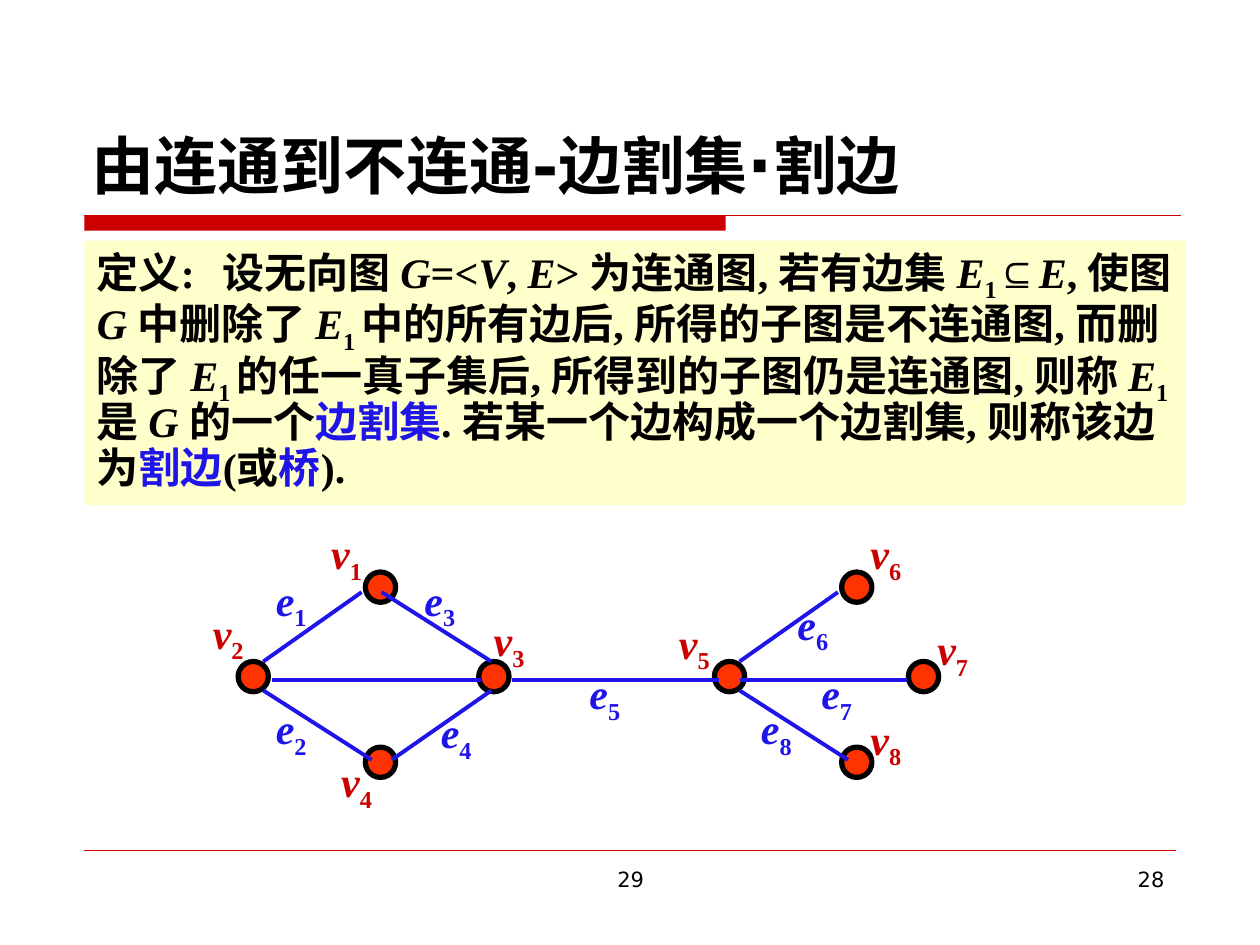
import pptx
import pptx.dml.color
import pptx.enum.shapes
import pptx.enum.text
import pptx.oxml.ns
import pptx.util
from lxml import etree

COLUMNS, ROWS = 100, 75  # square grid cells over the slide
CELL = pptx.util.Inches(0.1)
BLACK, RED, BLUE = "000000", "CC0000", "1F15E9"
NODE_RED, CREAM = "FF3300", "FFFFCC"
SERIF, SANS, SYMBOL = "Times New Roman", "DejaVu Sans", "Arial"
NODE_SIZE = 2.4
LABEL_SIZE = (5.8, 5.6)

SHAPES = pptx.enum.shapes.MSO_SHAPE
ALIGN = pptx.enum.text.PP_ALIGN
ANCHOR = pptx.enum.text.MSO_ANCHOR

# Flags: i italic, _ subscript, b blue, d sans font, a symbol font
E1 = [("E", "i"), ("1 ", "_")]
DEFINITION = [
    ("定义:\t设无向图 ", ""), ("G", "i"), ("=<", ""), ("V", "i"), (", ", ""),
    ("E", "i"), ("> 为连通图, 若有边集 ", ""), ("E", "i"), ("1", "_"),
    ("⊆", "a"), ("E", "i"), (", 使图", ""), ("G ", "i"), ("中", "d"),
    ("删除了 ", ""), *E1, ("中", "d"),
    ("的所有边后, 所得的子图是不连通图, 而删除了 ", ""), *E1,
    ("的任一真子集后, 所得到的子图仍是连通图, 则称 ", ""), *E1,
    ("是 ", ""), ("G ", "i"), ("的一个", ""), ("边割集", "b"),
    (". 若某一个边构成一个边割集, 则称该边为", ""), ("割边", "b"),
    ("(或", ""), ("桥", "bd"), (").", ""),
]

# Centres of the vertices
NODES = [(30.2, 46.6), (30.2, 60.5), (39.2, 53.7), (20.1, 53.7),
         (68, 46.6), (68, 60.5), (73.3, 53.7), (57.9, 53.7)]
EDGES = [
    ((28.7, 47), (20.9, 52.5)), ((39, 54.8), (31.1, 60.3)),
    ((66.5, 47), (58.7, 52.5)), ((72, 54), (58.7, 54)),
    ((67.3, 60.3), (58.7, 54.8)), ((57.1, 54), (40.6, 54)),
    ((39, 52.5), (30.3, 47)), ((29.5, 60.3), (20.9, 54.8)),
    ((38.2, 54), (21.6, 54)),
]
# Top left corners of the labels, in order of their index
VERTEX_LABELS = [(25.3, 41.4), (15.9, 47.7), (38.2, 48.3), (26.1, 59.5),
                 (52.9, 48.5), (68.1, 41.4), (73.4, 49), (68.1, 56.1)]
EDGE_LABELS = [(20.9, 45.1), (20.9, 55.3), (32.7, 45.1), (34, 55.6),
               (45.8, 52.5), (62.3, 47), (64.2, 52.5), (59.4, 55.3)]


def color(value):
    return pptx.dml.color.RGBColor.from_string(value)


def cells(*values):
    return [round(v * CELL) for v in values]


def style_font(font, name, size, value=BLACK, bold=False):
    font.name = name
    font.size = pptx.util.Pt(size)
    font.bold = bold
    font.color.rgb = color(value)


def add_shape(s, kind, box, fill, line=None, width=0):
    sp = s.shapes.add_shape(kind, *cells(*box))
    sp.shadow.inherit = False
    sp.fill.solid()
    sp.fill.fore_color.rgb = color(fill)
    if line:
        sp.line.color.rgb = color(line)
        sp.line.width = pptx.util.Pt(width)
    else:
        sp.line.fill.background()
    return sp


def add_line(s, start, end, value, width):
    line = s.shapes.add_connector(
        pptx.enum.shapes.MSO_CONNECTOR.STRAIGHT, *cells(*start, *end))
    line.line.color.rgb = color(value)
    line.line.width = pptx.util.Pt(width)
    etree.SubElement(line._element.spPr, pptx.oxml.ns.qn("a:effectLst"))


def add_runs(p, runs, name, size, value=BLACK, bold=False):
    """Fill a paragraph from (text, flags) pairs."""
    style_font(p.font, name, size, value, bold)
    for text, flags in runs:
        r = p.add_run()
        r.text = text
        face = SANS if "d" in flags else SYMBOL if "a" in flags else name
        style_font(r.font, face, size, BLUE if "b" in flags else value, bold)
        r.font.italic = "i" in flags
        if "_" in flags:
            r.font._element.set("baseline", "-25000")


def add_text(s, box, runs, name, size, value=BLACK, bold=False,
             align=ALIGN.LEFT, anchor=ANCHOR.TOP):
    tf = s.shapes.add_textbox(*cells(*box)).text_frame
    tf.word_wrap = True
    tf.vertical_anchor = anchor
    p = tf.paragraphs[0]
    p.alignment = align
    add_runs(p, runs, name, size, value, bold)
    return p


def add_title(s):
    p = add_text(s, (6.3, 3.3, 87.5, 13.3),
                 [("由连通到不连通-边割集", ""), ("·", ""), ("割边", "")],
                 SANS, 36, bold=True, anchor=ANCHOR.BOTTOM)
    p.runs[1].font.size = pptx.util.Pt(38)
    add_shape(s, SHAPES.RECTANGLE, (6.7, 17.1, 50.9, 1.2), RED)
    add_line(s, (6.7, 17.1), (93.7, 17.1), RED, 0.75)


def add_definition(s):
    sp = add_shape(s, SHAPES.RECTANGLE, (6.7, 19.1, 87.4, 21), CREAM)
    tf = sp.text_frame
    tf.word_wrap = True
    tf.vertical_anchor = ANCHOR.TOP
    p = tf.paragraphs[0]
    p.alignment = ALIGN.LEFT
    p.line_spacing = 0.9
    tabs = etree.SubElement(p._p.get_or_add_pPr(), pptx.oxml.ns.qn("a:tabLst"))
    etree.SubElement(tabs, pptx.oxml.ns.qn("a:tab"),
                     pos=str(10 * CELL), algn="l")
    add_runs(p, DEFINITION, SERIF, 24, bold=True)


def add_labels(s, letter, corners, value):
    for i, corner in enumerate(corners, 1):
        add_text(s, (*corner, *LABEL_SIZE), [(letter, "i"), (str(i), "_")],
                 SERIF, 24, value, bold=True)


def add_graph(s):
    for x, y in NODES:
        box = (x - NODE_SIZE / 2, y - NODE_SIZE / 2, NODE_SIZE, NODE_SIZE)
        add_shape(s, SHAPES.FLOWCHART_CONNECTOR, box, NODE_RED, BLACK, 3)
    for start, end in EDGES:
        add_line(s, start, end, BLUE, 2.25)
    add_labels(s, "v", VERTEX_LABELS, RED)
    add_labels(s, "e", EDGE_LABELS, BLUE)


def add_footer(s):
    add_line(s, (6.7, 67.5), (93.3, 67.5), RED, 0.25)
    add_text(s, (34.2, 68.3, 31.7, 5.2), [("29", "")], SANS, 12,
             align=ALIGN.CENTER)
    add_text(s, (71.7, 68.3, 21.7, 5.2), [("28", "")], SANS, 12,
             align=ALIGN.RIGHT)


def main():
    prs = pptx.Presentation()
    prs.slide_width, prs.slide_height = cells(COLUMNS, ROWS)
    s = prs.slides.add_slide(prs.slide_layouts[6])
    add_title(s)
    add_definition(s)
    add_graph(s)
    add_footer(s)
    prs.save("out.pptx")


if __name__ == "__main__":
    main()
